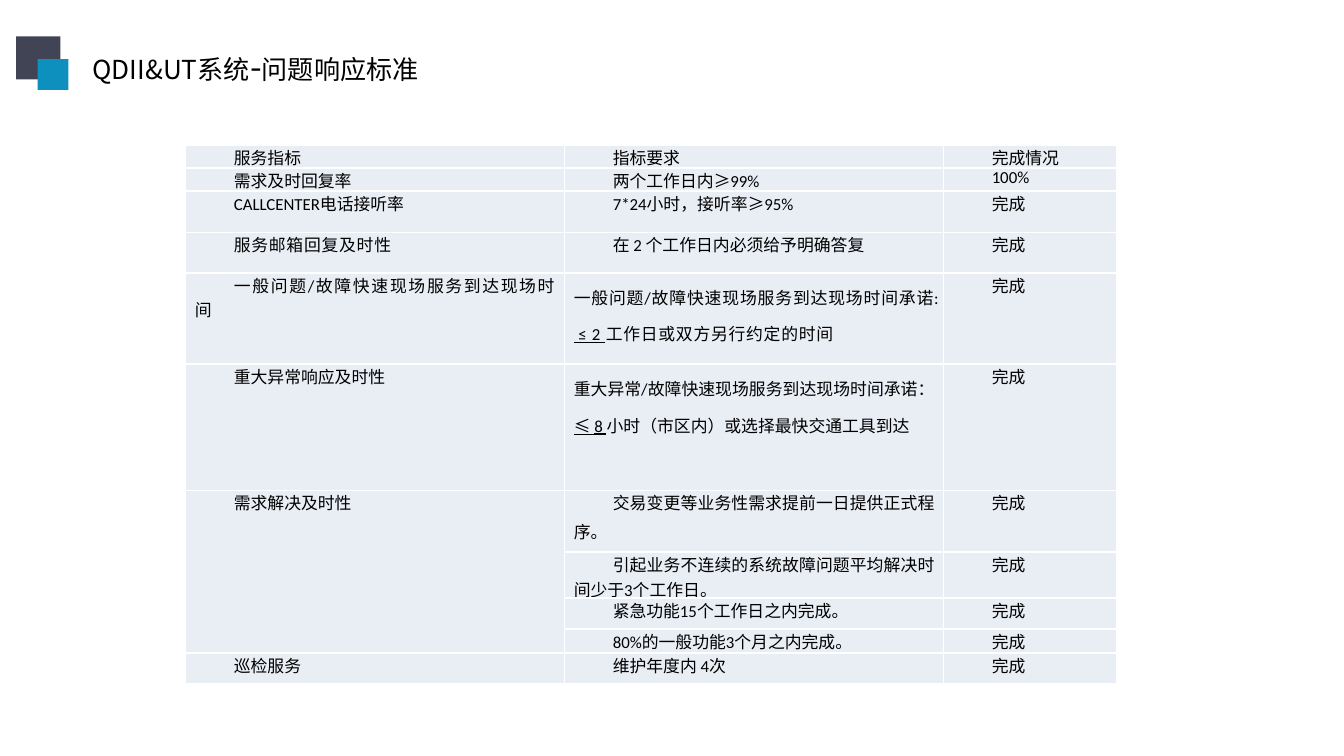
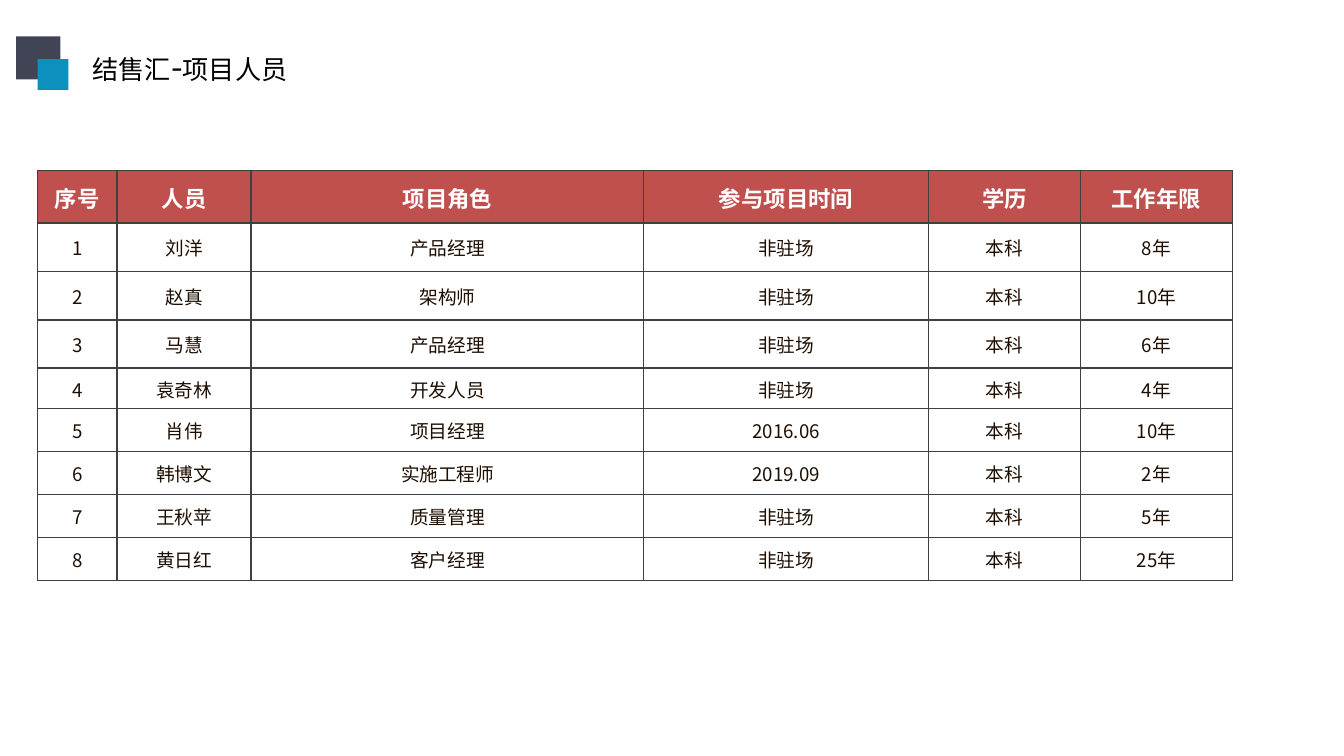
from dataclasses import dataclass

from pptx import Presentation
from pptx.dml.color import RGBColor
from pptx.enum.shapes import MSO_SHAPE
from pptx.enum.text import MSO_ANCHOR, PP_ALIGN
from pptx.oxml.ns import qn
from pptx.slide import Slide
from pptx.table import _Cell
from pptx.text.text import _Paragraph
from pptx.util import Inches, Pt
from lxml.etree import SubElement

BLACK = RGBColor(0x00, 0x00, 0x00)
WHITE = RGBColor(0xFF, 0xFF, 0xFF)
SLATE = RGBColor(0x41, 0x44, 0x55)
BLUE = RGBColor(0x0E, 0x90, 0xBE)
PALE = RGBColor(0xE9, 0xED, 0xF4)
RED = RGBColor(0xC0, 0x50, 0x4D)
BROWN = RGBColor(0x1E, 0x0E, 0x01)
CHARCOAL = RGBColor(0x40, 0x40, 0x40)
CJK_FONT = "Noto Sans CJK SC"
LATIN_FONT = "Calibri"
SLIDE_WIDTH = Inches(10)
SLIDE_HEIGHT = SLIDE_WIDTH * 9 // 16


@dataclass(frozen=True)
class Run:
    """A piece of text with its own emphasis."""
    text: str
    size: float | None = None
    underline: bool = False


@dataclass(frozen=True)
class Square:
    """One square of the corner mark."""
    left: float
    top: float
    width: float
    height: float
    color: RGBColor


@dataclass(frozen=True)
class TextStyle:
    """The look of one paragraph."""
    font: str
    size: float
    color: RGBColor
    align: PP_ALIGN = PP_ALIGN.LEFT
    bold: bool = False
    indent: float = 0
    tracking: float = 0
    line_spacing: float = 1


@dataclass(frozen=True)
class CellStyle:
    """The look of one table cell."""
    text: TextStyle
    fill: RGBColor
    border: RGBColor
    anchor: MSO_ANCHOR
    insets: tuple[float, float, float, float]


@dataclass(frozen=True)
class Entry:
    """The content and look of one table cell."""
    runs: tuple[Run, ...]
    style: CellStyle


@dataclass(frozen=True)
class Grid:
    """A table with its place, sizes and entries."""
    left: float
    top: float
    columns: tuple[float, ...]
    rows: tuple[float, ...]
    entries: list[list[Entry]]


MARK = (
    Square(0.12, 0.27, 0.33, 0.32, SLATE),
    Square(0.28, 0.44, 0.23, 0.23, BLUE),
)
TITLE = TextStyle(CJK_FONT, 14, BLACK)


def metric_style(indent: float = 0.29, tracking: float = 0, line_spacing: float = 1) -> CellStyle:
    """Return the style of a service metric cell."""
    text = TextStyle(LATIN_FONT, 9, BLACK, PP_ALIGN.JUSTIFY, False, indent, tracking, line_spacing)
    return CellStyle(text, PALE, WHITE, MSO_ANCHOR.TOP, (0.07, 0, 0.07, 0))


def staff_style(size: float, color: RGBColor, fill: RGBColor, bold: bool) -> CellStyle:
    """Return the style of a staff table cell."""
    text = TextStyle(CJK_FONT, size, color, PP_ALIGN.CENTER, bold)
    return CellStyle(text, fill, CHARCOAL, MSO_ANCHOR.MIDDLE, (0.01, 0.01, 0.01, 0))


METRIC = metric_style()
SPACED = metric_style(tracking=0.4)
STAFF_HEAD = staff_style(12, WHITE, RED, True)
STAFF_BODY = staff_style(10, BROWN, WHITE, False)

ARRIVAL_PROMISE = Entry((
    Run("一般问题/故障快速现场服务到达现场时间承诺:"),
    Run(" ≤ 2 ", underline=True),
    Run("工作日或双方另行约定的时间"),
), metric_style(indent=0, tracking=0.4, line_spacing=1.5))
INCIDENT_PROMISE = Entry((
    Run("重大异常/故障快速现场服务到达现场时间承诺："),
    Run("≤ 8 ", underline=True),
    Run("小时（市区内）或选择最快交通工具到达"),
), metric_style(indent=0, line_spacing=1.5))
RELEASE_PROMISE = Entry((
    Run("交易变更等业务性需求提前一日提供正式程序。"),
    Run(" ", size=11),
), METRIC)


def entry(content: str | Entry, style: CellStyle) -> Entry:
    """Give plain text a style and leave a finished entry alone."""
    return content if isinstance(content, Entry) else Entry((Run(content),), style)


def spaced(text: str) -> Entry:
    """Return a metric entry with wider tracking."""
    return entry(text, SPACED)


DONE = "完成"
METRICS = (
    ("服务指标", "指标要求", "完成情况"),
    ("需求及时回复率", "两个工作日内≥99%", "100%"),
    ("CALLCENTER电话接听率", "7*24小时，接听率≥95%", DONE),
    (spaced("服务邮箱回复及时性"), "在 2 个工作日内必须给予明确答复", DONE),
    (spaced("一般问题/故障快速现场服务到达现场时间"), ARRIVAL_PROMISE, DONE),
    ("重大异常响应及时性", INCIDENT_PROMISE, DONE),
    ("需求解决及时性", RELEASE_PROMISE, DONE),
    ("", "引起业务不连续的系统故障问题平均解决时间少于3个工作日。", DONE),
    ("", "紧急功能15个工作日之内完成。", DONE),
    ("", "80%的一般功能3个月之内完成。", DONE),
    ("巡检服务", "维护年度内 4次", DONE),
)
RESOLUTION_ROWS = (6, 9)

STAFF_HEADINGS = ("序号", "人员", "项目角色", "参与项目时间", "学历", "工作年限")
OFF_SITE = "非驻场"
DEGREE = "本科"
STAFF = (
    ("刘洋", "产品经理", OFF_SITE, 8),
    ("赵真", "架构师", OFF_SITE, 10),
    ("马慧", "产品经理", OFF_SITE, 6),
    ("袁奇林", "开发人员", OFF_SITE, 4),
    ("肖伟", "项目经理", "2016.06", 10),
    ("韩博文", "实施工程师", "2019.09", 2),
    ("王秋苹", "质量管理", OFF_SITE, 5),
    ("黄日红", "客户经理", OFF_SITE, 25),
)


def write_paragraph(paragraph: _Paragraph, runs: tuple[Run, ...], style: TextStyle) -> None:
    """Fill a paragraph with runs in one style."""
    paragraph.alignment = style.align
    paragraph.line_spacing = style.line_spacing
    font = paragraph.font
    font.name = style.font
    font.size = Pt(style.size)
    font.bold = style.bold
    font.color.rgb = style.color
    properties = paragraph._p.get_or_add_pPr()
    properties.set("indent", str(Inches(style.indent)))
    defaults = properties.find(qn("a:defRPr"))
    defaults.set("spc", str(round(style.tracking * 100)))
    east_asian = SubElement(defaults, qn("a:ea"))
    east_asian.set("typeface", CJK_FONT)
    for part in runs:
        if part.text:
            run = paragraph.add_run()
            run.text = part.text
            if part.size:
                run.font.size = Pt(part.size)
            if part.underline:
                run.font.underline = True


def draw_heading(slide: Slide, system: str, topic: str, width: float) -> None:
    """Draw the title and the corner mark."""
    title = slide.shapes.add_textbox(Inches(0.59), Inches(0.29), Inches(width), Inches(0.4))
    title.text_frame.word_wrap = True
    runs = (Run(system), Run("-", size=18), Run(topic))
    write_paragraph(title.text_frame.paragraphs[0], runs, TITLE)
    mark = slide.shapes.add_group_shape()
    for square in MARK:
        tile = mark.shapes.add_shape(
            MSO_SHAPE.RECTANGLE, Inches(square.left), Inches(square.top),
            Inches(square.width), Inches(square.height))
        tile.shadow.inherit = False
        tile.fill.solid()
        tile.fill.fore_color.rgb = square.color
        tile.line.fill.background()


def draw_borders(cell: _Cell, color: RGBColor) -> None:
    """Put a one-point line on every side of a cell."""
    properties = cell._tc.get_or_add_tcPr()
    for side in ("a:lnL", "a:lnR", "a:lnT", "a:lnB"):
        border = SubElement(properties, qn(side))
        border.set("w", str(Pt(1)))
        fill = SubElement(border, qn("a:solidFill"))
        SubElement(fill, qn("a:srgbClr")).set("val", str(color))


def fill_cell(cell: _Cell, content: Entry) -> None:
    """Write and style one table cell."""
    style = content.style
    draw_borders(cell, style.border)
    cell.fill.solid()
    cell.fill.fore_color.rgb = style.fill
    cell.vertical_anchor = style.anchor
    cell.margin_left, cell.margin_top, cell.margin_right, cell.margin_bottom = map(Inches, style.insets)
    write_paragraph(cell.text_frame.paragraphs[0], content.runs, style.text)


def draw_grid(slide: Slide, grid: Grid, merged: tuple[int, int] | None = None) -> None:
    """Draw a table, merging a span of rows in its first column if given."""
    table = slide.shapes.add_table(
        len(grid.rows), len(grid.columns), Inches(grid.left), Inches(grid.top),
        Inches(sum(grid.columns)), Inches(sum(grid.rows))).table
    table.first_row = False
    table.horz_banding = False
    for column, width in zip(table.columns, grid.columns):
        column.width = Inches(width)
    for row, height, entries in zip(table.rows, grid.rows, grid.entries):
        row.height = Inches(height)
        for cell, content in zip(row.cells, entries):
            fill_cell(cell, content)
    if merged:
        first, last = merged
        table.cell(first, 0).merge(table.cell(last, 0))


def build_response_slide(slide: Slide) -> None:
    """Build the slide of response standards."""
    draw_heading(slide, "QDII&UT系统", "问题响应标准", 2.74)
    entries = [[entry(content, METRIC) for content in row] for row in METRICS]
    heights = (0.17, 0.17, 0.31, 0.3, 0.68, 0.94, 0.46, 0.34, 0.23, 0.18, 0.23)
    draw_grid(slide, Grid(1.38, 1.08, (2.82, 2.82, 1.29), heights, entries), RESOLUTION_ROWS)


def build_staff_slide(slide: Slide) -> None:
    """Build the slide of project staff."""
    draw_heading(slide, "结售汇", "项目人员", 1.69)
    entries = [[entry(heading, STAFF_HEAD) for heading in STAFF_HEADINGS]]
    for number, (name, role, period, years) in enumerate(STAFF, start=1):
        values = (str(number), name, role, period, DEGREE, f"{years}年")
        entries.append([entry(value, STAFF_BODY) for value in values])
    widths = (0.59, 1, 2.92, 2.12, 1.13, 1.13)
    heights = (0.39, 0.36, 0.36, 0.36, 0.3, 0.32, 0.32, 0.32, 0.32)
    draw_grid(slide, Grid(0.28, 1.27, widths, heights, entries))


def main() -> None:
    """Build and save the presentation."""
    presentation = Presentation()
    presentation.slide_width = SLIDE_WIDTH
    presentation.slide_height = SLIDE_HEIGHT
    blank = presentation.slide_layouts[6]
    for build in (build_response_slide, build_staff_slide):
        build(presentation.slides.add_slide(blank))
    presentation.save("out.pptx")


if __name__ == "__main__":
    main()
